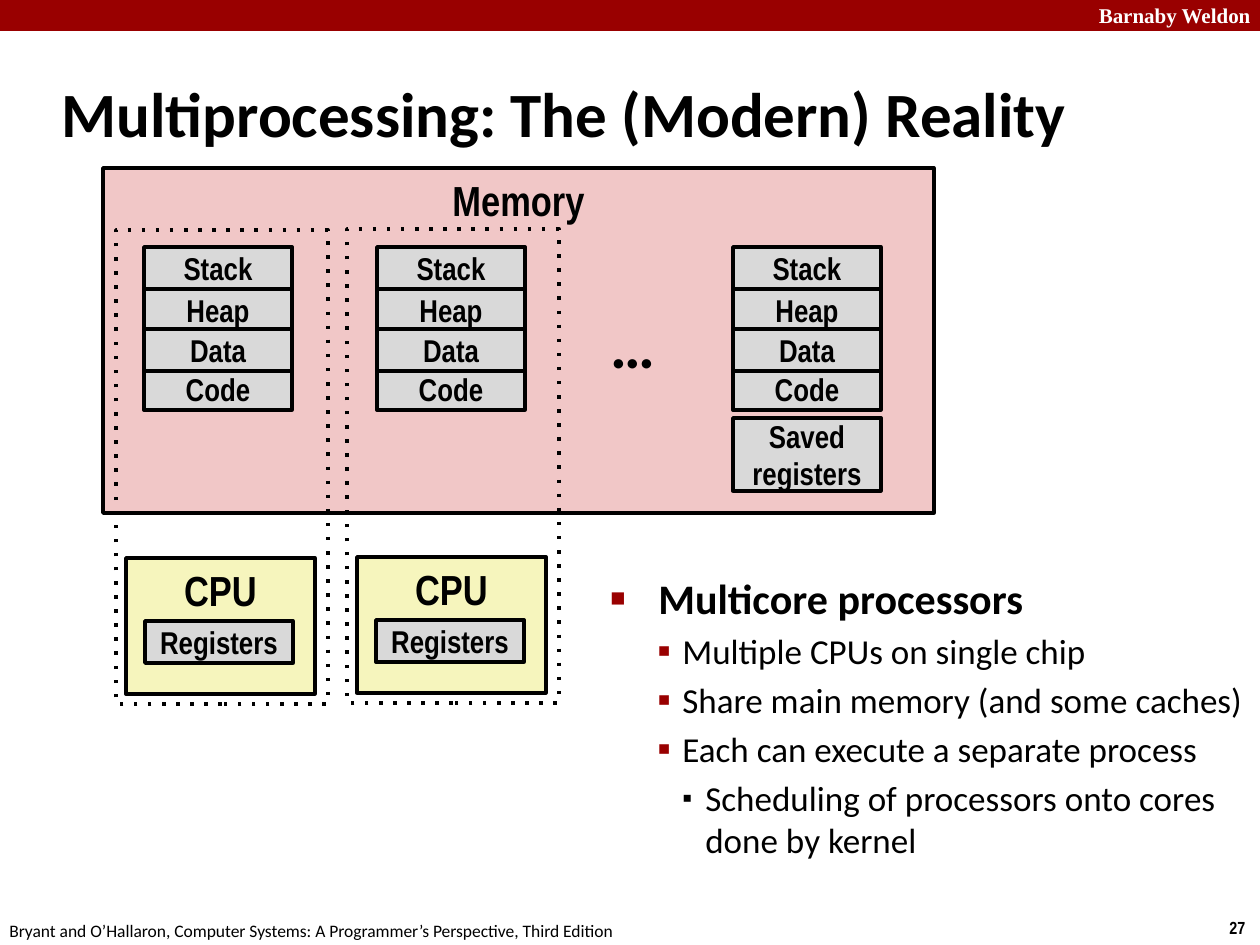
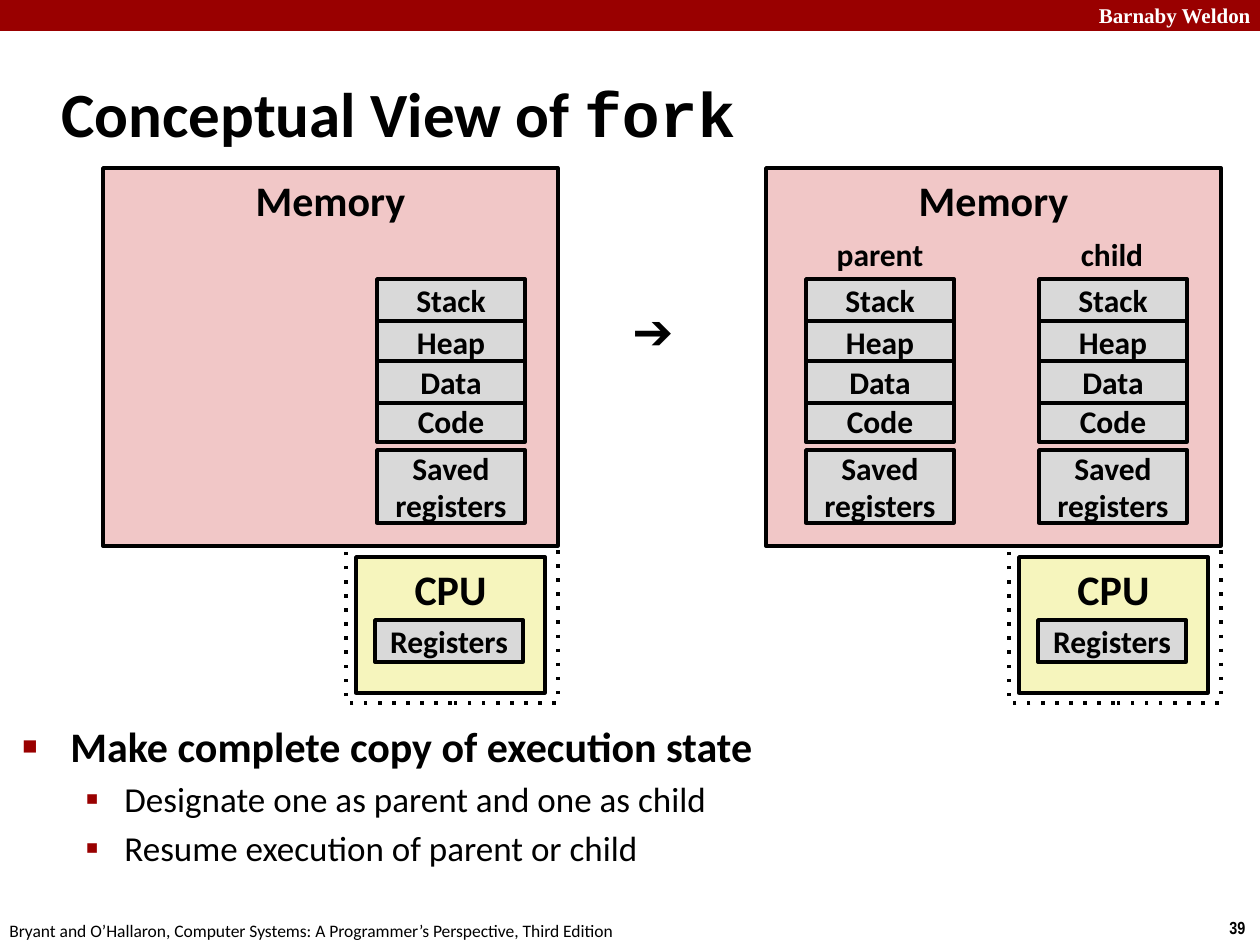
from collections import namedtuple

from lxml import etree
from pptx import Presentation
from pptx import util as u
from pptx.dml.color import RGBColor
from pptx.enum import dml, shapes, text
from pptx.oxml import ns

SCALE = 914400 / 126
RED = RGBColor(0x99, 0x00, 0x00)
PINK = RGBColor(0xF1, 0xC7, 0xC7)
YELLOW = RGBColor(0xF6, 0xF5, 0xBD)
GRAY = RGBColor(0xD9, 0xD9, 0xD9)
BLACK = RGBColor(0x00, 0x00, 0x00)
WHITE = RGBColor(0xFF, 0xFF, 0xFF)
SANS = "Calibri"
NARROW = "Arial Narrow"

CELL_W, CELL_H = 148, 42
SEGMENTS = (("Stack", 0), ("Heap", 42), ("Code", 121), ("Data", 82))

Bullet = namedtuple("Bullet", "level margin indent char color percent size bold")
HEAD = Bullet(0, 48, -48, "■", RED, 60, 24, True)
POINT = Bullet(1, 72, -25, "▪", RED, 110, 20, False)
WIDE_POINT = POINT._replace(margin=102, indent=-39)
DETAIL = Bullet(2, 95, -23, "▪", BLACK, 80, 20, False)


def px(n):
    return u.Emu(round(n * SCALE))


def add_run(p, words, size, font=SANS, bold=True, color=BLACK):
    r = p.add_run()
    r.text = words
    r.font.size = u.Pt(size)
    r.font.name = font
    r.font.bold = bold
    r.font.color.rgb = color


def add_box(container, x, y, w, h, fill=None, border=BLACK):
    sp = container.add_shape(shapes.MSO_SHAPE.RECTANGLE, px(x), px(y), px(w), px(h))
    sp.shadow.inherit = False
    if fill is None:
        sp.fill.background()
    else:
        sp.fill.solid()
        sp.fill.fore_color.rgb = fill
    if border is None:
        sp.line.fill.background()
    else:
        sp.line.color.rgb = border
        sp.line.width = u.Pt(2)
    return sp


def add_labelled_box(container, x, y, w, h, fill, label, size, font,
                     anchor=text.MSO_ANCHOR.MIDDLE):
    tf = add_box(container, x, y, w, h, fill).text_frame
    tf.word_wrap = True
    tf.vertical_anchor = anchor
    p = tf.paragraphs[0]
    p.alignment = text.PP_ALIGN.CENTER
    add_run(p, label, size, font)


def add_cell(container, x, y, label, font, h=CELL_H):
    add_labelled_box(container, x, y, CELL_W, h, GRAY, label, 18, font)


def add_label(s, x, y, w, h, words, size, font=SANS, bold=True, color=BLACK,
              align=text.PP_ALIGN.LEFT, wrap=False):
    tf = s.shapes.add_textbox(px(x), px(y), px(w), px(h)).text_frame
    tf.word_wrap = wrap
    tf.auto_size = text.MSO_AUTO_SIZE.SHAPE_TO_FIT_TEXT
    p = tf.paragraphs[0]
    p.alignment = align
    add_run(p, words, size, font, bold, color)


def add_memory(s, x, w, h, font):
    add_labelled_box(s.shapes, x, 168, w, h, PINK, "Memory", 24, font,
                     text.MSO_ANCHOR.TOP)


def add_process(container, x, y, font, saved=True):
    for name, offset in SEGMENTS:
        add_cell(container, x, y + offset, name, font)
    if saved:
        add_cell(container, x, y + 171, "Saved registers", font, 73)


def add_cpu(s, x, y, font):
    frame = add_box(s.shapes, x, y, 212, 474)
    frame.line.dash_style = dml.MSO_LINE.ROUND_DOT
    frame._element.spPr.find(".//" + ns.qn("a:prstDash")).set("val", "dot")
    add_labelled_box(s.shapes, x + 10, y + 328, 189, 136, YELLOW, "CPU", 24, font,
                     text.MSO_ANCHOR.TOP)
    add_cell(s.shapes, x + 29, y + 391, "Registers", font)


def set_bullet(p, bullet):
    pPr = p._p.get_or_add_pPr()
    pPr.set("marL", str(px(bullet.margin)))
    pPr.set("indent", str(px(bullet.indent)))
    color = etree.SubElement(pPr, ns.qn("a:buClr"))
    etree.SubElement(color, ns.qn("a:srgbClr")).set("val", str(bullet.color))
    etree.SubElement(pPr, ns.qn("a:buSzPct")).set("val", str(bullet.percent * 1000))
    etree.SubElement(pPr, ns.qn("a:buFont")).set("typeface", "Arial")
    etree.SubElement(pPr, ns.qn("a:buChar")).set("char", bullet.char)


def add_bullets(s, x, y, w, h, items):
    tf = s.shapes.add_textbox(px(x), px(y), px(w), px(h)).text_frame
    tf.word_wrap = True
    for i, (bullet, words) in enumerate(items):
        p = tf.add_paragraph() if i else tf.paragraphs[0]
        p.level = bullet.level
        p.space_before = u.Pt(bullet.size * 0.2)
        set_bullet(p, bullet)
        add_run(p, words, bullet.size, bold=bullet.bold)


def add_slide(prs, number, title_w, title_runs):
    s = prs.slides.add_slide(prs.slide_layouts[5])
    band = add_box(s.shapes, 0, 0, 1260, 31, RED, None)
    s.shapes._spTree.insert(2, band._element)
    add_label(s, 1070, -4, 193, 38, "Barnaby Weldon", 12, "Times New Roman",
              color=WHITE, align=text.PP_ALIGN.RIGHT, wrap=True)
    add_label(s, 1217, 911, 43, 34, str(number), 10, NARROW)
    add_label(s, -3, 914, 640, 34,
              "Bryant and O’Hallaron, Computer Systems: "
              "A Programmer’s Perspective, Third Edition", 10, bold=False)

    title = s.shapes.title
    title.left, title.top, title.width, title.height = map(px, (49, 60, title_w, 105))
    tf = title.text_frame
    tf.word_wrap = True
    tf.auto_size = text.MSO_AUTO_SIZE.NONE
    tf.vertical_anchor = text.MSO_ANCHOR.MIDDLE
    p = tf.paragraphs[0]
    p.alignment = text.PP_ALIGN.LEFT
    for words, font in title_runs:
        add_run(p, words, 36, font)
    return s


def build_multiprocessing(prs):
    s = add_slide(prs, 27, 1169, [("Multiprocessing: The (Modern) Reality", SANS)])
    add_memory(s, 103, 831, 345, NARROW)
    for x, saved in ((144, False), (377, False), (733, True)):
        add_process(s.shapes, x, 247, NARROW, saved)
    for x, y in ((116, 230), (347, 229)):
        add_cpu(s, x, y, NARROW)
    add_label(s, 598, 299, 71, 89, "…", 36)
    add_bullets(s, 598, 566, 683, 368, [
        (HEAD, "Multicore processors"),
        (POINT, "Multiple CPUs on single chip"),
        (POINT, "Share main memory (and some caches)"),
        (POINT, "Each can execute a separate process"),
        (DETAIL, "Scheduling of processors onto cores done by kernel"),
    ])


def build_fork(prs):
    s = add_slide(prs, 39, 1046, [("Conceptual View of ", SANS), ("fork", "Courier New")])
    for memory_x, process_xs in ((103, (377,)), (766, (806, 1039))):
        add_cpu(s, memory_x + 243, 229, SANS)
        add_memory(s, memory_x, 455, 378, SANS)
        for x in process_xs:
            add_process(s.shapes.add_group_shape().shapes, x, 279, SANS)
    for x, name in ((807, "parent"), (1039, "child")):
        add_label(s, x, 229, 146, 50, name, 18, align=text.PP_ALIGN.CENTER, wrap=True)
    add_label(s, 620, 294, 78, 72, "➔", 28, "Arial")
    add_bullets(s, 10, 714, 1089, 183, [
        (HEAD, "Make complete copy of execution state"),
        (WIDE_POINT, "Designate one as parent and one as child"),
        (WIDE_POINT, "Resume execution of parent or child"),
    ])


def main():
    prs = Presentation()
    prs.slide_width, prs.slide_height = px(1260), px(945)
    build_multiprocessing(prs)
    build_fork(prs)
    prs.save("out.pptx")


if __name__ == "__main__":
    main()
